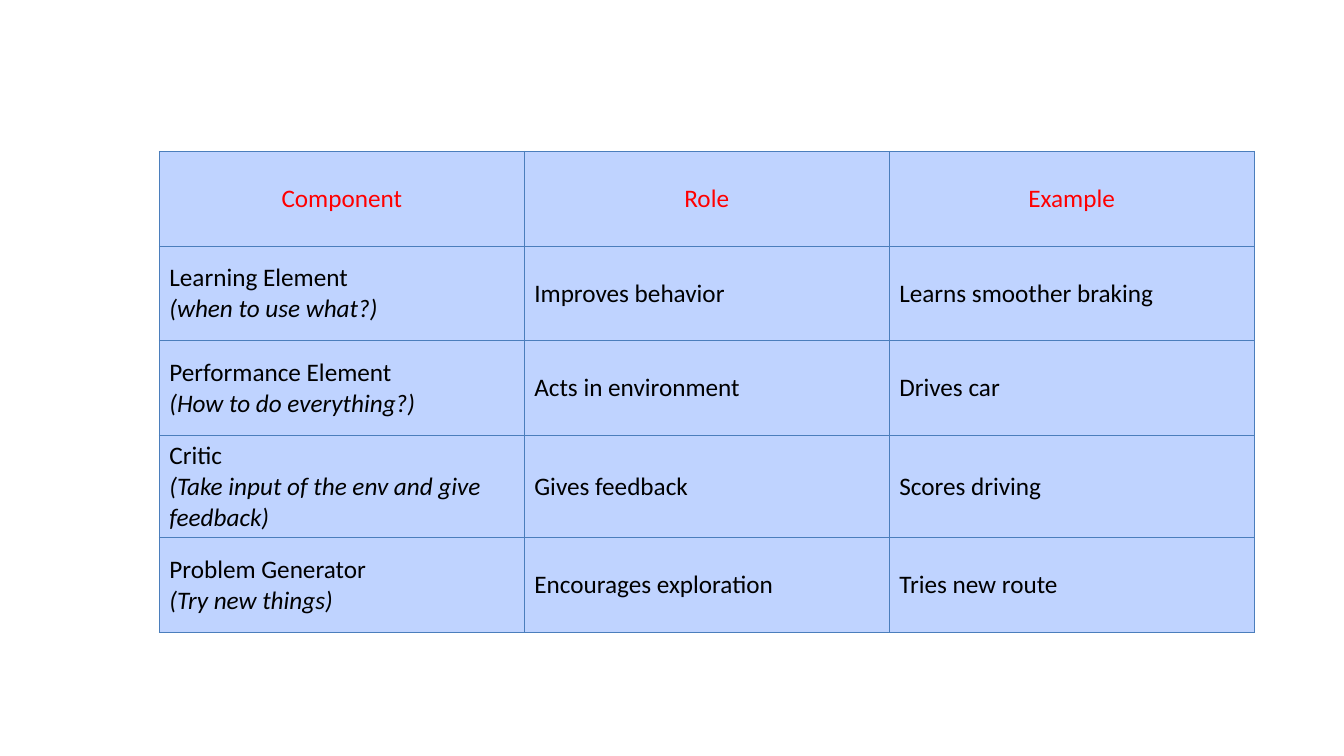
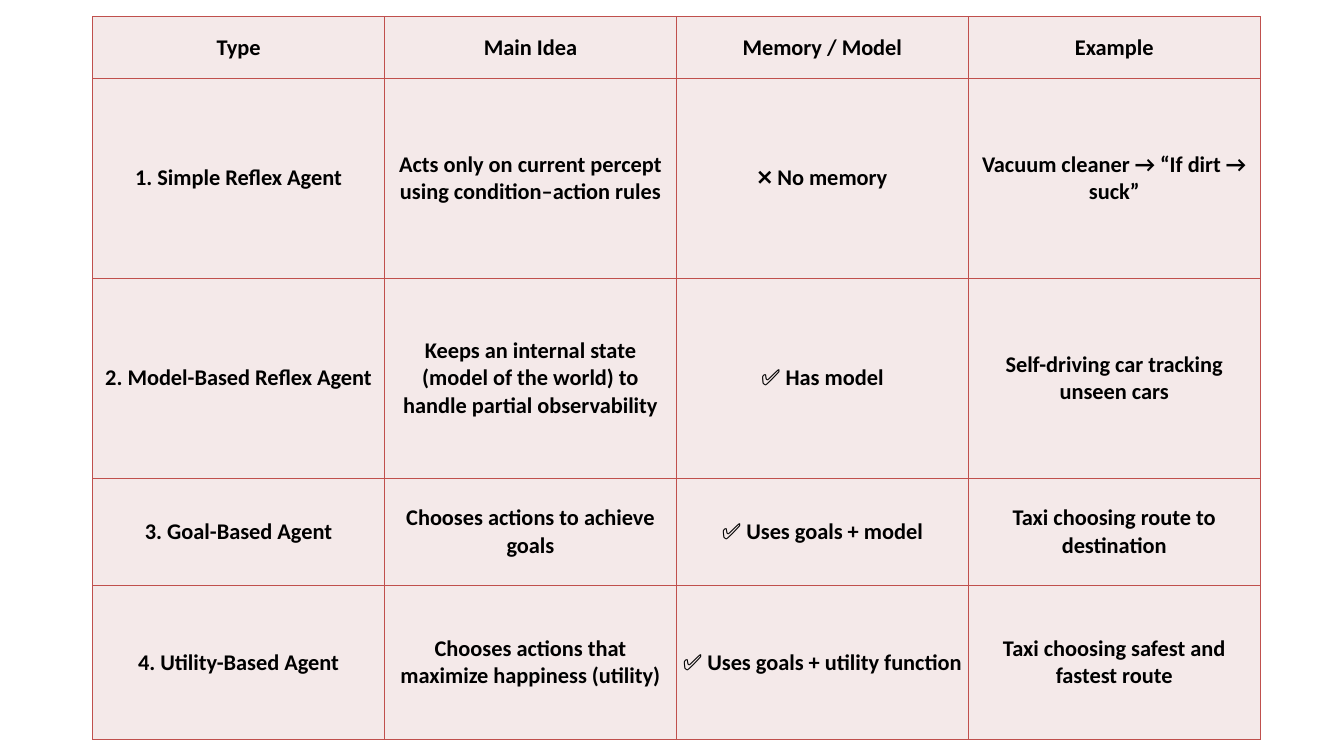
from lxml import etree
from pptx import Presentation
from pptx import util as u
from pptx.dml import color
from pptx.enum import text
from pptx.oxml import ns

Pt = u.Pt
MID = text.PP_ALIGN.CENTER
LEFT = text.PP_ALIGN.LEFT


def tint(code):
    return color.RGBColor.from_string(code)


def write(par, words, font="Calibri", size=18, ink="000000", bold=False,
          slant=False, align=LEFT):
    par.alignment = align
    run = par.add_run()
    run.text = words
    run.font.name = font
    run.font.size = Pt(size)
    run.font.color.rgb = tint(ink)
    run.font.bold = bold
    run.font.italic = slant


class Deck:
    def __init__(self, wide, high):
        self.show = Presentation()
        self.show.slide_width = Pt(wide)
        self.show.slide_height = Pt(high)
        self.slide = None

    def page(self):
        self.slide = self.show.slides.add_slide(self.show.slide_layouts[6])

    def edge(self, cell, ink, weight):
        props = cell._tc.get_or_add_tcPr()
        for side in ("lnL", "lnR", "lnT", "lnB"):
            line = etree.SubElement(props, ns.qn("a:" + side), w=str(Pt(weight)))
            fill = etree.SubElement(line, ns.qn("a:solidFill"))
            etree.SubElement(fill, ns.qn("a:srgbClr"), val=ink)

    def cell(self, cell, words, fill, line, weight, pad, style):
        cell.vertical_anchor = text.MSO_ANCHOR.MIDDLE
        cell.margin_left = cell.margin_right = Pt(pad[0])
        cell.margin_top = cell.margin_bottom = Pt(pad[1])
        self.edge(cell, line, weight)
        cell.fill.solid()
        cell.fill.fore_color.rgb = tint(fill)
        frame = cell.text_frame
        for n, part in enumerate(words.split("\n")):
            par = frame.add_paragraph() if n else frame.paragraphs[0]
            write(par, part, slant=n > 0, **style)

    def table(self, left, top, width, highs, rows, head, body, fill, line,
              weight, pad):
        count = len(rows[0])
        frame = self.slide.shapes.add_table(
            len(rows), count, Pt(left), Pt(top), Pt(width * count), Pt(sum(highs)))
        grid = frame.table
        grid.first_row = grid.horz_banding = False
        for col in grid.columns:
            col.width = Pt(width)
        for r, (high, row) in enumerate(zip(highs, rows)):
            grid.rows[r].height = Pt(high)
            for c, words in enumerate(row):
                self.cell(grid.cell(r, c), words, fill, line, weight, pad,
                          body if r else head)


PARTS = [
    ("Component", "Role", "Example"),
    ("Learning Element\n(when to use what?)", "Improves behavior",
     "Learns smoother braking"),
    ("Performance Element\n(How to do everything?)", "Acts in environment",
     "Drives car"),
    ("Critic\n(Take input of the env and give feedback)", "Gives feedback",
     "Scores driving"),
    ("Problem Generator\n(Try new things)", "Encourages exploration",
     "Tries new route"),
]

TYPES = [
    ("Type", "Main Idea", "Memory / Model", "Example"),
    ("1. Simple Reflex Agent",
     "Acts only on current percept using condition–action rules",
     "❌ No memory", "Vacuum cleaner → “If dirt → suck”"),
    ("2. Model-Based Reflex Agent",
     "Keeps an internal state (model of the world) to handle partial observability",
     "✅ Has model", "Self-driving car tracking unseen cars"),
    ("3. Goal-Based Agent", "Chooses actions to achieve goals",
     "✅ Uses goals + model", "Taxi choosing route to destination"),
    ("4. Utility-Based Agent",
     "Chooses actions that maximize happiness (utility)",
     "✅ Uses goals + utility function", "Taxi choosing safest and fastest route"),
]


def main():
    deck = Deck(960, 540)

    deck.page()
    deck.table(113.8, 108, 260.7, [67.7] * 5, PARTS,
               head=dict(ink="FF0000", align=MID), body={},
               fill="BFD3FF", line="4B7EBC", weight=0.75, pad=(7.2, 3.6))

    deck.page()
    bold = dict(size=16, bold=True, align=MID)
    deck.table(66.2, 12, 208.5, [43.8, 142.9, 142.9, 76.8, 109.8], TYPES,
               head=bold, body=bold,
               fill="F4E9E9", line="C0504D", weight=1, pad=(4.3, 2.2))

    deck.show.save("out.pptx")


if __name__ == "__main__":
    main()
